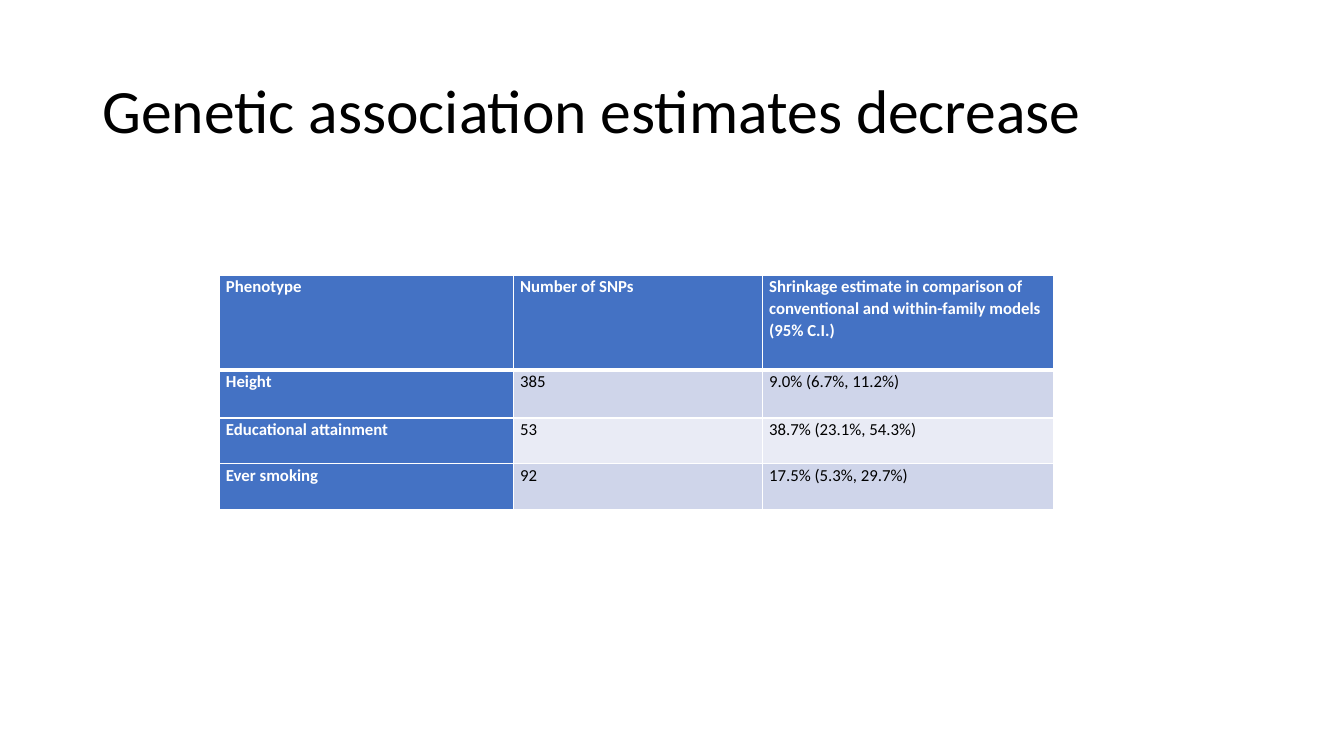
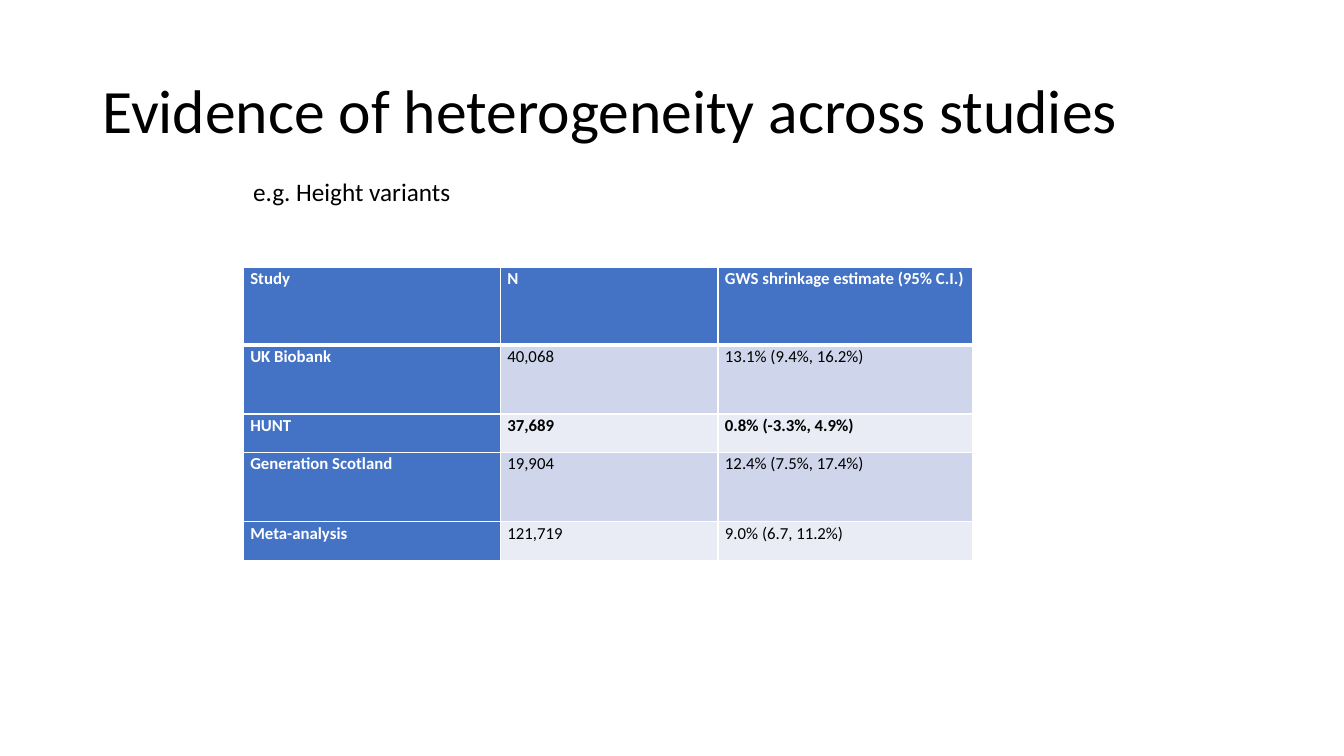
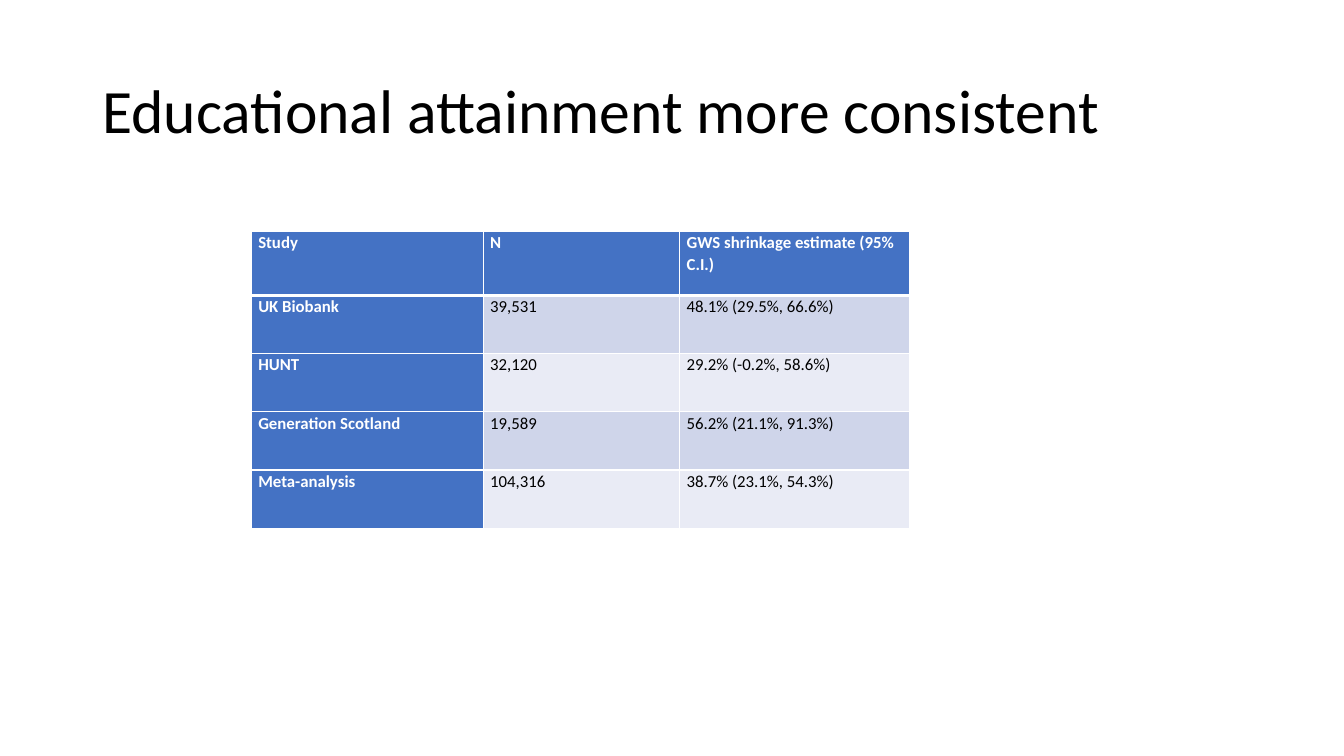
from dataclasses import dataclass

from lxml import etree
from pptx import Presentation
from pptx.dml.color import RGBColor
from pptx.enum.text import MSO_ANCHOR, MSO_AUTO_SIZE, PP_ALIGN
from pptx.oxml.ns import qn
from pptx.util import Pt

LEFT = PP_ALIGN.LEFT
TOP, MIDDLE = MSO_ANCHOR.TOP, MSO_ANCHOR.MIDDLE
NO_FIT, GROW = MSO_AUTO_SIZE.NONE, MSO_AUTO_SIZE.SHAPE_TO_FIT_TEXT
TITLE_ONLY = 5


@dataclass(frozen=True)
class Theme:
    font: str = "Calibri"
    title_size: int = 44
    note_size: int = 18
    table_size: int = 12
    text: str = "000000"
    white: str = "FFFFFF"
    head: str = "4472C4"
    bands: tuple = ("CFD5EA", "E9EBF5")
    rule: int = 1
    head_rule: int = 3
    cell_inset: int = 5


class Deck:
    def __init__(self, theme):
        self.theme = theme
        self.prs = Presentation()
        self.prs.slide_width, self.prs.slide_height = Pt(960), Pt(540)
        self.slide = None

    def style(self, p, size, color, bold=False, spacing=1.0):
        p.alignment = LEFT
        p.line_spacing = spacing
        p.font.name = self.theme.font
        p.font.size = Pt(size)
        p.font.bold = bold
        p.font.color.rgb = RGBColor.from_string(color)

    def add_slide(self, title):
        """Start a slide and set its title."""
        self.slide = self.prs.slides.add_slide(self.prs.slide_layouts[TITLE_ONLY])
        sp = self.slide.shapes.title
        sp.left, sp.top, sp.width, sp.height = Pt(66), Pt(28.8), Pt(828), Pt(104.4)
        tf = sp.text_frame
        tf.text = title
        tf.word_wrap = True
        tf.auto_size = NO_FIT
        tf.vertical_anchor = MIDDLE
        self.style(tf.paragraphs[0], self.theme.title_size, self.theme.text, spacing=0.9)

    def add_note(self, text, left, top, width, height):
        sp = self.slide.shapes.add_textbox(Pt(left), Pt(top), Pt(width), Pt(height))
        tf = sp.text_frame
        tf.text = text
        tf.word_wrap = False
        tf.auto_size = GROW
        self.style(tf.paragraphs[0], self.theme.note_size, self.theme.text)

    def add_border(self, cell, side, width):
        tc_pr = cell._tc.get_or_add_tcPr()
        ln = etree.SubElement(tc_pr, qn(f"a:ln{side}"), w=str(Pt(width)))
        fill = etree.SubElement(ln, qn("a:solidFill"))
        etree.SubElement(fill, qn("a:srgbClr"), val=self.theme.white)

    def format_cell(self, cell, row, col, bold):
        t = self.theme
        is_head = row == 0 or col == 0
        # Borders, thicker under the header row
        widths = {"L": t.rule, "R": t.rule,
                  "T": t.head_rule if row == 1 else t.rule,
                  "B": t.head_rule if row == 0 else t.rule}
        for side, width in widths.items():
            self.add_border(cell, side, width)
        # Fill and text
        cell.fill.solid()
        cell.fill.fore_color.rgb = RGBColor.from_string(
            t.head if is_head else t.bands[(row - 1) % 2])
        cell.margin_left = cell.margin_right = Pt(t.cell_inset)
        cell.margin_top = cell.margin_bottom = 0
        cell.vertical_anchor = TOP
        self.style(cell.text_frame.paragraphs[0], t.table_size,
                   t.white if is_head else t.text, is_head or bold, 1.07)

    def add_table(self, left, top, widths, heights, rows, bold_row=None):
        frame = self.slide.shapes.add_table(
            len(rows), len(widths), Pt(left), Pt(top), Pt(sum(widths)), Pt(sum(heights)))
        table = frame.table
        table.first_col = True
        for column, width in zip(table.columns, widths):
            column.width = Pt(width)
        for r, (values, height) in enumerate(zip(rows, heights)):
            table.rows[r].height = Pt(height)
            for c, value in enumerate(values):
                cell = table.cell(r, c)
                cell.text = value
                self.format_cell(cell, r, c, r == bold_row)


def main():
    deck = Deck(Theme())
    study_head = ("Study", "N", "GWS shrinkage estimate (95% C.I.)")

    # Shrinkage by phenotype
    deck.add_slide("Genetic association estimates decrease")
    deck.add_table(156.4, 196.6, (210.2, 177.8, 208.1), (67.6, 34.4, 32.6, 32.6), [
        ("Phenotype", "Number of SNPs",
         "Shrinkage estimate in comparison of conventional and within-family models (95% C.I.)"),
        ("Height", "385", "9.0% (6.7%, 11.2%)"),
        ("Educational attainment", "53", "38.7% (23.1%, 54.3%)"),
        ("Ever smoking", "92", "17.5% (5.3%, 29.7%)"),
    ])

    # Height by study
    deck.add_slide("Evidence of heterogeneity across studies")
    deck.add_table(173.8, 190.8, (183.6, 155.5, 182.2), (55.4, 49.6, 27.4, 49.6, 27.4), [
        study_head,
        ("UK Biobank", "40,068", "13.1% (9.4%, 16.2%)"),
        ("HUNT", "37,689", "0.8% (-3.3%, 4.9%)"),
        ("Generation Scotland", "19,904", "12.4% (7.5%, 17.4%)"),
        ("Meta-analysis", "121,719", "9.0% (6.7, 11.2%)"),
    ], bold_row=2)
    deck.add_note("e.g. Height variants", 173.8, 122.4, 157, 28.8)

    # Educational attainment by study
    deck.add_slide("Educational attainment more consistent")
    deck.add_table(179.5, 165, (165.6, 140.4, 164.2), [46] + [41.6] * 4, [
        study_head,
        ("UK Biobank", "39,531", "48.1% (29.5%, 66.6%)"),
        ("HUNT", "32,120", "29.2% (-0.2%, 58.6%)"),
        ("Generation Scotland", "19,589", "56.2% (21.1%, 91.3%)"),
        ("Meta-analysis", "104,316", "38.7% (23.1%, 54.3%)"),
    ])

    deck.prs.save("out.pptx")


if __name__ == "__main__":
    main()
